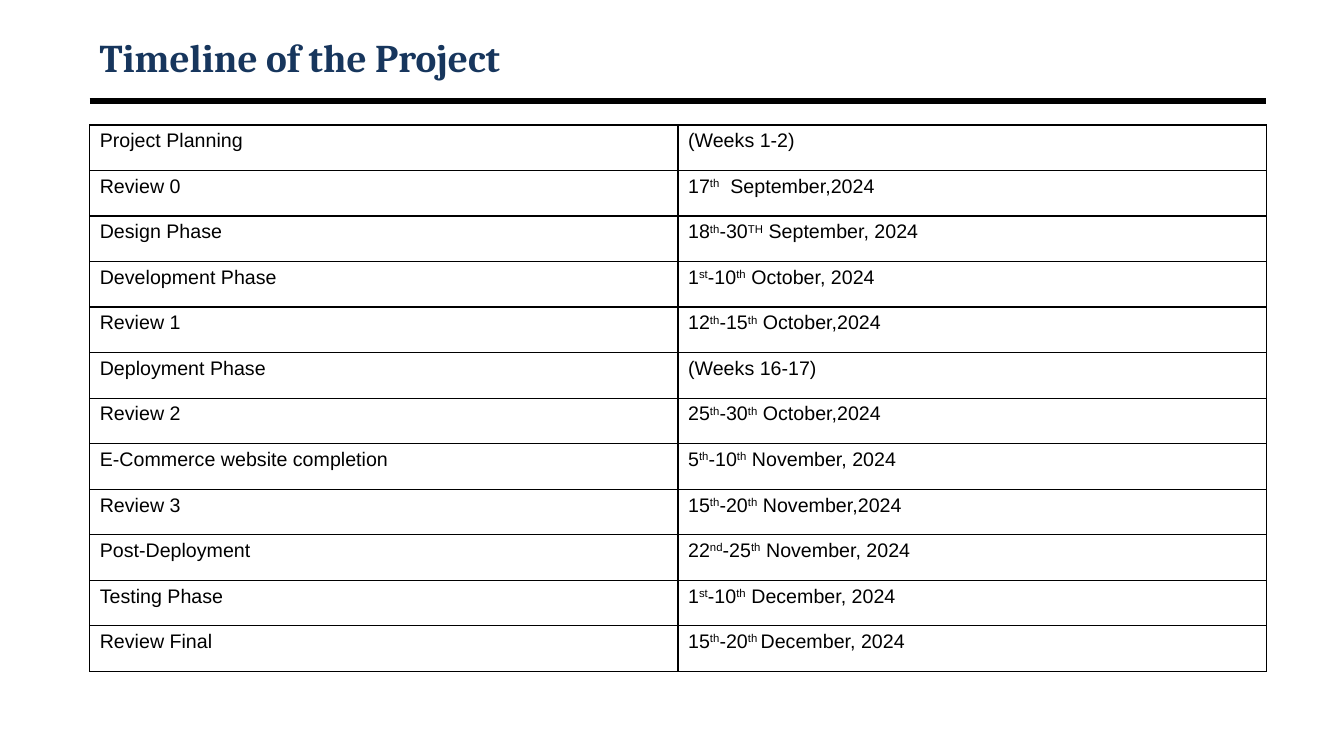
from dataclasses import dataclass

from lxml import etree
from pptx import Presentation
from pptx.dml.color import RGBColor
from pptx.enum.shapes import MSO_CONNECTOR
from pptx.enum.text import MSO_ANCHOR
from pptx.oxml import parse_xml
from pptx.oxml.ns import nsdecls, qn
from pptx.util import Inches, Pt

STRAIGHT = MSO_CONNECTOR.STRAIGHT
MIDDLE = MSO_ANCHOR.MIDDLE


@dataclass(frozen=True)
class Theme:
    """Colours, fonts and sizes of the slide."""
    title_font: str = "Cambria"
    body_font: str = "Arial"
    title_color: str = "17365D"
    ink: str = "000000"
    title_size: float = 28
    body_size: float = 14
    rule_width: float = 4.5
    border_width: float = 1


THEME = Theme()
SUPERSCRIPT_MARK = "^"
MILESTONES = [
    ("Project Planning", "(Weeks 1-2)"),
    ("Review 0", "17^th^  September,2024"),
    ("Design Phase", "18^th^-30^TH^ September, 2024"),
    ("Development Phase", "1^st^-10^th^ October, 2024"),
    ("Review 1", "12^th^-15^th^ October,2024"),
    ("Deployment Phase", "(Weeks 16-17)"),
    ("Review 2", "25^th^-30^th^ October,2024"),
    ("E-Commerce website completion", "5^th^-10^th^ November, 2024"),
    ("Review 3", "15^th^-20^th^ November,2024"),
    ("Post-Deployment", "22^nd^-25^th^ November, 2024"),
    ("Testing Phase", "1^st^-10^th^ December, 2024"),
    ("Review Final", "15^th^-20^th ^December, 2024"),
]


def style_span(span, font, size, color, bold=False):
    """Apply font, size, colour and weight to a run."""
    span.font.name = font
    span.font.size = Pt(size)
    span.font.bold = bold
    span.font.color.rgb = RGBColor.from_string(color)


def add_title(page, text, left, top, width, height):
    """Write the slide title, centred vertically in its box."""
    frame = page.shapes.add_textbox(
        Inches(left), Inches(top), Inches(width), Inches(height)).text_frame
    frame.word_wrap = True
    frame.vertical_anchor = MIDDLE
    frame.text = text
    style_span(frame.paragraphs[0].runs[0], THEME.title_font,
               THEME.title_size, THEME.title_color, bold=True)


def add_rule(page, left, top, width):
    """Draw the heavy rule under the title."""
    rule = page.shapes.add_connector(
        STRAIGHT, Inches(left), Inches(top), Inches(left + width), Inches(top))
    rule.line.width = Pt(THEME.rule_width)
    rule.line.color.rgb = RGBColor.from_string(THEME.ink)
    etree.SubElement(rule._element.spPr, qn("a:effectLst"))


def add_borders(cell):
    """Give a cell a thin solid line on each side."""
    properties = cell._tc.get_or_add_tcPr()
    for index, side in enumerate(("lnL", "lnR", "lnT", "lnB")):
        properties.insert(index, parse_xml(
            f'<a:{side} {nsdecls("a")} w="{Pt(THEME.border_width)}">'
            f'<a:solidFill><a:srgbClr val="{THEME.ink}"/></a:solidFill>'
            f'</a:{side}>'))


def fill_cell(cell, text):
    """Write cell text, raising the parts between superscript marks."""
    cell.fill.background()
    add_borders(cell)
    para = cell.text_frame.paragraphs[0]
    for index, part in enumerate(text.split(SUPERSCRIPT_MARK)):
        span = para.add_run()
        span.text = part
        style_span(span, THEME.body_font, THEME.body_size, THEME.ink)
        if index % 2:
            span._r.get_or_add_rPr().set("baseline", "30000")


def add_timeline(page, milestones, left, top, width, height):
    """Build the table of phases and dates with equal rows and columns."""
    columns = len(milestones[0])
    table = page.shapes.add_table(
        len(milestones), columns, Inches(left), Inches(top),
        Inches(width), Inches(height)).table
    table.first_row = False
    table.horz_banding = False
    for column in table.columns:
        column.width = Inches(width / columns)
    for row, texts in zip(table.rows, milestones):
        row.height = Inches(height / len(milestones))
        for cell, text in zip(row.cells, texts):
            fill_cell(cell, text)


def build_timeline_page(deck):
    """Compose the project timeline slide."""
    page = deck.slides.add_slide(deck.slide_layouts[6])
    left, width = 0.89, 11.67
    add_rule(page, left, 1, width)
    add_title(page, "Timeline of the Project", left, 0.3, width, 0.53)
    add_timeline(page, MILESTONES, left, 1.24, width, 5.42)


def main():
    """Create the deck and save it."""
    deck = Presentation()
    deck.slide_width = Inches(13.33)
    deck.slide_height = Inches(7.5)
    build_timeline_page(deck)
    deck.save("out.pptx")


if __name__ == "__main__":
    main()
